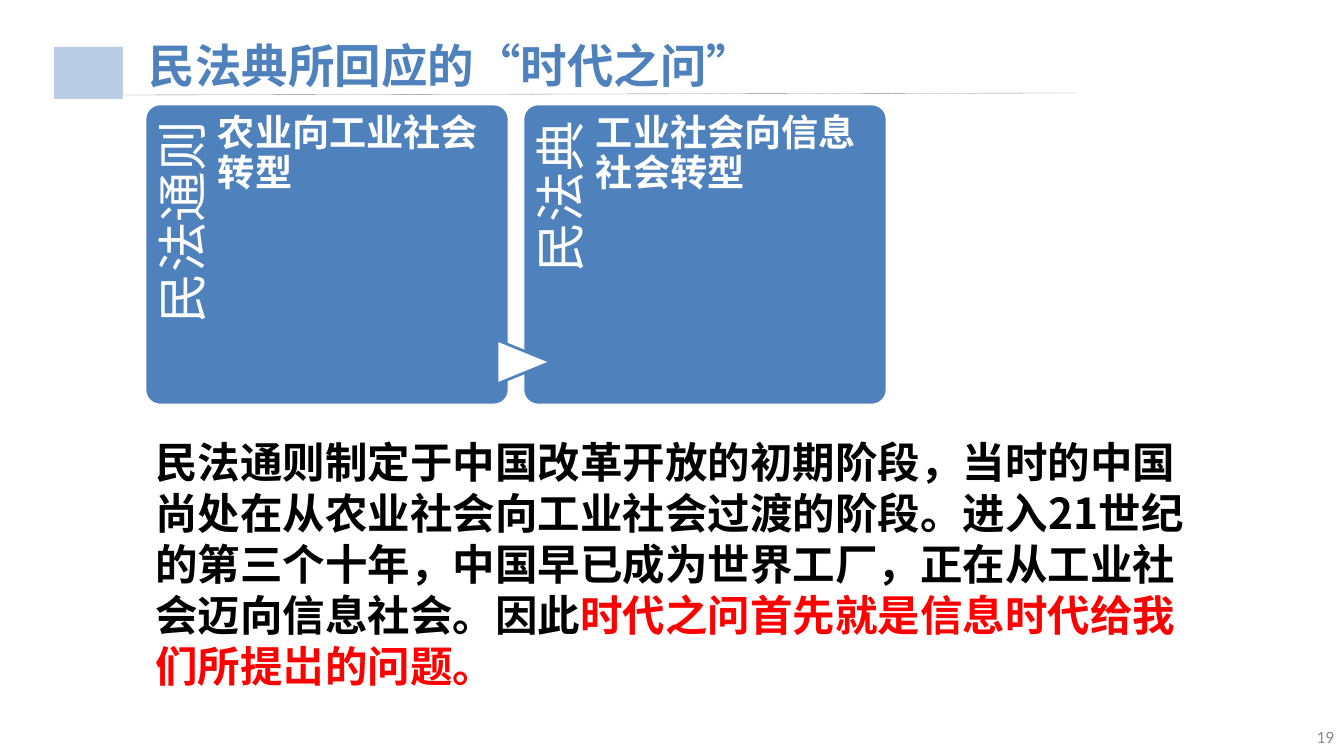
from lxml import etree
from pptx import Presentation
from pptx.dml.color import RGBColor
from pptx.enum.dml import MSO_LINE
from pptx.enum.shapes import MSO_CONNECTOR, MSO_SHAPE as SHAPE
from pptx.enum.text import MSO_ANCHOR as ANCHOR, PP_ALIGN as ALIGN
from pptx.oxml.ns import qn
from pptx.util import Emu, Pt

EMU_PER_PX = 914400 / 95.6
CJK = "Noto Sans CJK SC"
BLUE, PALE, WHITE, BLACK = "4F81BD", "B9CDE5", "FFFFFF", "000000"
RED, GREY, LINE_GREY = "FF0000", "8C8C8C", "808080"


def px(n):
    return Emu(round(n * EMU_PER_PX))


def color(value):
    return RGBColor.from_string(value)


def add_text(s, box, runs, size, font=CJK, bold=False, align=ALIGN.LEFT,
             anchor=ANCHOR.TOP, insets=(10, 5, 10, 5), spacing=None, rotation=0):
    """Place one paragraph; runs is a list of (text, colour) pairs."""
    sp = s.shapes.add_textbox(*map(px, box))
    sp.rotation = rotation
    tf = sp.text_frame
    tf.word_wrap = True
    tf.vertical_anchor = anchor
    tf.margin_left, tf.margin_top, tf.margin_right, tf.margin_bottom = map(px, insets)
    p = tf.paragraphs[0]
    p.alignment = align
    if spacing:
        p.line_spacing = spacing
    for text, fill in runs:
        r = p.add_run()
        r.text = text
        r.font.size = Pt(size)
        r.font.bold = bold
        r.font.name = font
        r.font.color.rgb = color(fill)
        ea = etree.SubElement(r.font._element, qn("a:ea"))
        ea.set("typeface", CJK)


def add_block(s, kind, box, fill, line=None):
    sp = s.shapes.add_shape(kind, *map(px, box))
    sp.shadow.inherit = False
    sp.fill.solid()
    sp.fill.fore_color.rgb = color(fill)
    if line:
        sp.line.color.rgb = color(line)
        sp.line.width = Pt(2)
    else:
        sp.line.fill.background()
    return sp


def add_header(s, x, y, title):
    rule = s.shapes.add_connector(MSO_CONNECTOR.STRAIGHT, px(x + 64), px(y + 48),
                                  px(x + 1022), px(y + 46))
    rule.line.color.rgb = color(LINE_GREY)
    rule.line.width = Pt(0.25)
    rule.line.dash_style = MSO_LINE.SQUARE_DOT
    etree.SubElement(rule._element.spPr, qn("a:effectLst"))
    add_block(s, SHAPE.RECTANGLE, (x, y, 69, 52), PALE)
    add_text(s, (x + 85, y - 15, 924, 66), [(title, BLUE)], 35, bold=True)


def add_card(s, x, y, w, h, law, shift):
    card = add_block(s, SHAPE.ROUNDED_RECTANGLE, (x, y, w, h), BLUE, WHITE)
    card.adjustments[0] = 0.05
    add_text(s, (x - 87, y + 87, 247, 73), [(law, WHITE)], 38, font="Calibri",
             align=ALIGN.RIGHT, insets=(0, 13, 17, 0), spacing=0.9, rotation=270)
    add_text(s, (x + 73, y, 272, h), [(shift, WHITE)], 28, bold=True,
             insets=(0, 10, 0, 0), spacing=0.9)


def add_law_sequence(s, x, y, laws):
    w, h, gap = 364, 301, 14
    for i, (law, shift) in enumerate(laws):
        add_card(s, x + i * (w + gap), y, w, h, law, shift)
    for i in range(1, len(laws)):
        arrow = add_block(s, SHAPE.FLOWCHART_EXTRACT,
                          (x + i * (w + gap) - 21, y + 231, 44, 54), WHITE, BLUE)
        arrow.rotation = 90


def main():
    prs = Presentation()
    prs.slide_width, prs.slide_height = px(1344), px(756)
    s = prs.slides.add_slide(prs.slide_layouts[6])
    add_text(s, (1031, 717, 313, 40), [("19", GREY)], 13, font="Calibri",
             align=ALIGN.RIGHT, anchor=ANCHOR.MIDDLE)
    add_header(s, 54, 47, "民法典所回应的“时代之问”")
    add_law_sequence(s, 145, 104, [("民法通则", "农业向工业社会转型"),
                                   ("民法典", "工业社会向信息社会转型")])
    add_text(s, (145, 431, 1077, 267), [
        ("民法通则制定于中国改革开放的初期阶段，当时的中国尚处在从农业社会向工业社会"
         "过渡的阶段。进入21世纪的第三个十年，中国早已成为世界工厂，正在从工业社会"
         "迈向信息社会。因此", BLACK),
        ("时代之问首先就是信息时代给我们所提岀的问题。", RED)], 32, bold=True)
    prs.save("out.pptx")


if __name__ == "__main__":
    main()
